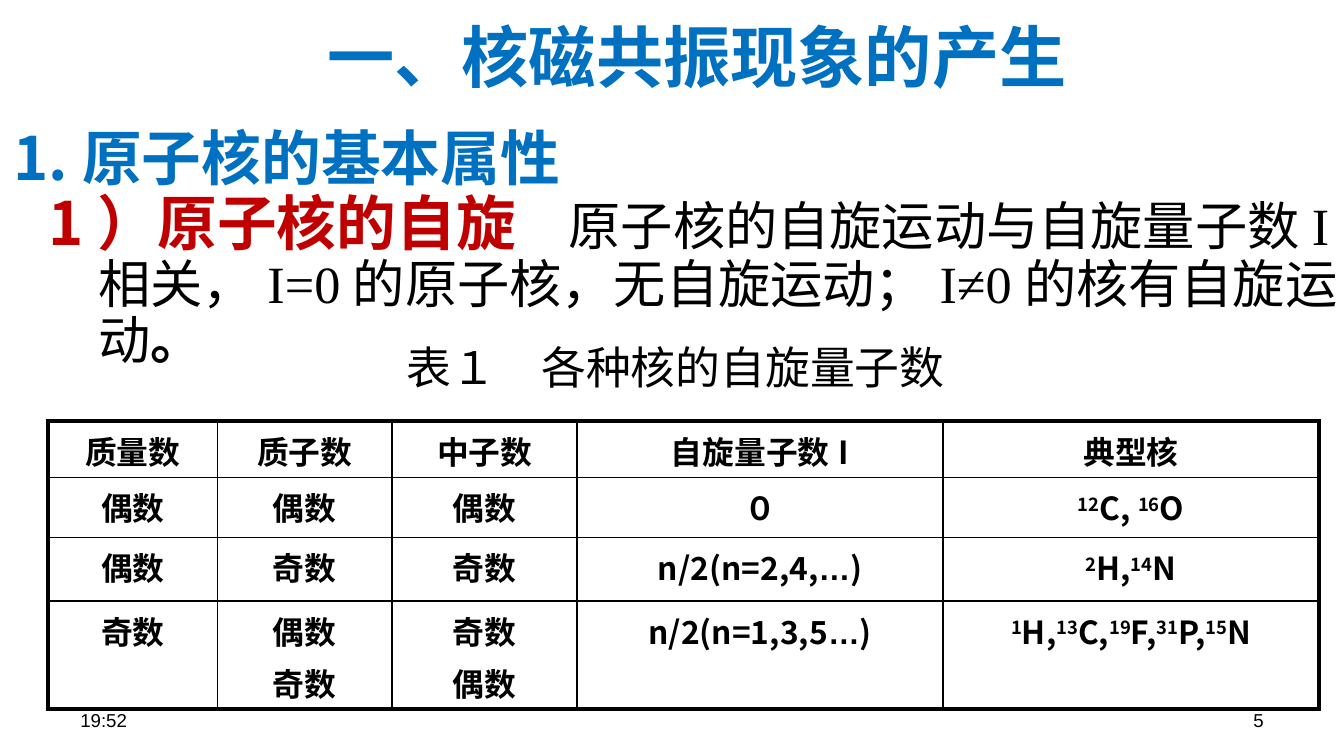
from lxml.etree import SubElement as Sub
from pptx import Presentation
from pptx.dml.color import RGBColor as Color
from pptx.enum.text import MSO_ANCHOR as Anchor, PP_ALIGN as Align
from pptx.oxml.ns import qn
from pptx.util import Cm, Pt

THEME = {
    "blue": "0070C0", "red": "C00000", "black": "000000",
    "cjk": "Noto Sans CJK SC", "serif": "Times New Roman", "sans": "Arial",
    "title": 36, "heading": 32, "body": 28, "caption": 24, "cell": 17, "footer": 10,
    "thin": 1, "thick": 2.25,
}

# Content: ^…^ marks superscripts, a list holds the lines of a cell
TITLE = "一、核磁共振现象的产生"
HEADING = "1.原子核的基本属性"
SUBHEADING = "1）原子核的自旋"
BODY = "原子核的自旋运动与自旋量子数I相关，I=0的原子核，无自旋运动；I≠0的核有自旋运动"
CAPTION = "表１\u3000各种核的自旋量子数".replace("\u3000", "　")
ROWS = [
    ["质量数", "质子数", "中子数", "自旋量子数I", "典型核"],
    ["偶数", "偶数", "偶数", "０", "^12^C, ^16^O"],
    ["偶数", "奇数", "奇数", "n/2(n=2,4,…)", "^2^H,^14^N"],
    ["奇数", ["偶数", "奇数"], ["奇数", "偶数"], "n/2(n=1,3,5…)",
     "^1^H,^13^C,^19^F,^31^P,^15^N"],
]
COLUMN_WIDTHS = [3.2, 3.3, 3.5, 6.91, 7.11]
ROW_HEIGHTS = [1.07, 1.13, 1.2, 2.05]


def add_span(para, text, size="body", font="cjk", color="black", bold=False, raised=False):
    span = para.add_run()
    span.text = text
    span.font.size = Pt(THEME[size])
    span.font.name = THEME[font]
    span.font.bold = bold
    span.font.color.rgb = Color.from_string(THEME[color])
    props = span._r.get_or_add_rPr()
    Sub(props, qn("a:ea"), typeface=THEME["cjk"])
    if raised:
        props.set("baseline", "30000")


def add_box(left, top, width, height, anchor=Anchor.TOP, align=Align.LEFT, wrap=True,
            spacing=None, hanging=False):
    frame = slide.shapes.add_textbox(Cm(left), Cm(top), Cm(width), Cm(height)).text_frame
    frame.word_wrap = wrap
    frame.vertical_anchor = anchor
    para = frame.paragraphs[0]
    para.alignment = align
    para.line_spacing = spacing
    if hanging:
        props = para._p.get_or_add_pPr()
        props.set("marL", str(Cm(0.95)))
        props.set("indent", str(-Cm(0.95)))
    return para


def set_borders(cell, row, column):
    edges = {"L": column == 0, "R": column == len(COLUMN_WIDTHS) - 1,
             "T": row == 0, "B": row == len(ROWS) - 1}
    props = cell._tc.get_or_add_tcPr()
    for side, outer in edges.items():
        width = Pt(THEME["thick" if outer else "thin"])
        line = Sub(props, qn(f"a:ln{side}"), w=str(width))
        Sub(Sub(line, qn("a:solidFill")), qn("a:srgbClr"), val=THEME["black"])


def fill_cell(cell, lines):
    cell.margin_top = cell.margin_bottom = Cm(0.12)
    for number, line in enumerate(lines):
        frame = cell.text_frame
        para = frame.add_paragraph() if number else frame.paragraphs[0]
        para.alignment = Align.CENTER
        if number:
            para.space_before = Pt(0.2 * THEME["cell"])
        for index, part in enumerate(line.split("^")):
            for text in filter(None, part.partition("…")):
                add_span(para, text, size="cell", bold=True, raised=index % 2 == 1,
                         font="sans" if text == "…" else "cjk")


deck = Presentation()
deck.slide_width, deck.slide_height = Cm(25.4), Cm(14.28)
slide = deck.slides.add_slide(deck.slide_layouts[6])

# Title and heading
para = add_box(4.37, -0.46, 17.6, 2.39, anchor=Anchor.BOTTOM, align=Align.CENTER)
add_span(para, TITLE, size="title", color="blue", bold=True)
para = add_box(0, 2.31, 24.13, 1.19, spacing=0.9, hanging=True)
add_span(para, HEADING, size="heading", color="blue", bold=True)

# Table of spin quantum numbers
table = slide.shapes.add_table(len(ROWS), len(COLUMN_WIDTHS), Cm(0.91), Cm(7.95),
                               Cm(sum(COLUMN_WIDTHS)), Cm(sum(ROW_HEIGHTS))).table
table.first_row = table.horz_banding = False
for column, width in zip(table.columns, COLUMN_WIDTHS):
    column.width = Cm(width)
for row, (height, contents) in enumerate(zip(ROW_HEIGHTS, ROWS)):
    table.rows[row].height = Cm(height)
    for column, content in enumerate(contents):
        cell = table.cell(row, column)
        fill_cell(cell, content if isinstance(content, list) else [content])
        set_borders(cell, row, column)
        cell.fill.background()

# Footer: time and page number
for left, text, align in [(1.27, "19:52", Align.LEFT), (18.21, "5", Align.RIGHT)]:
    para = add_box(left, 13.23, 5.92, 0.76, anchor=Anchor.MIDDLE, align=align)
    add_span(para, text, size="footer", font="sans")

# Table caption
para = add_box(7.44, 6.4, 10.77, 1.17, wrap=False, spacing=0.9)
add_span(para, CAPTION, size="caption")

# Subheading with running text after a tab
para = add_box(0.66, 3.53, 24.97, 3.63, spacing=0.9, hanging=True)
tabs = Sub(para._p.get_or_add_pPr(), qn("a:tabLst"))
Sub(tabs, qn("a:tab"), pos=str(Cm(10.5)), algn="l")
add_span(para, SUBHEADING, size="heading", color="red", bold=True)
add_span(para, "\t" + BODY, font="serif")
add_span(para, "。", font="serif", bold=True)

deck.save("out.pptx")
